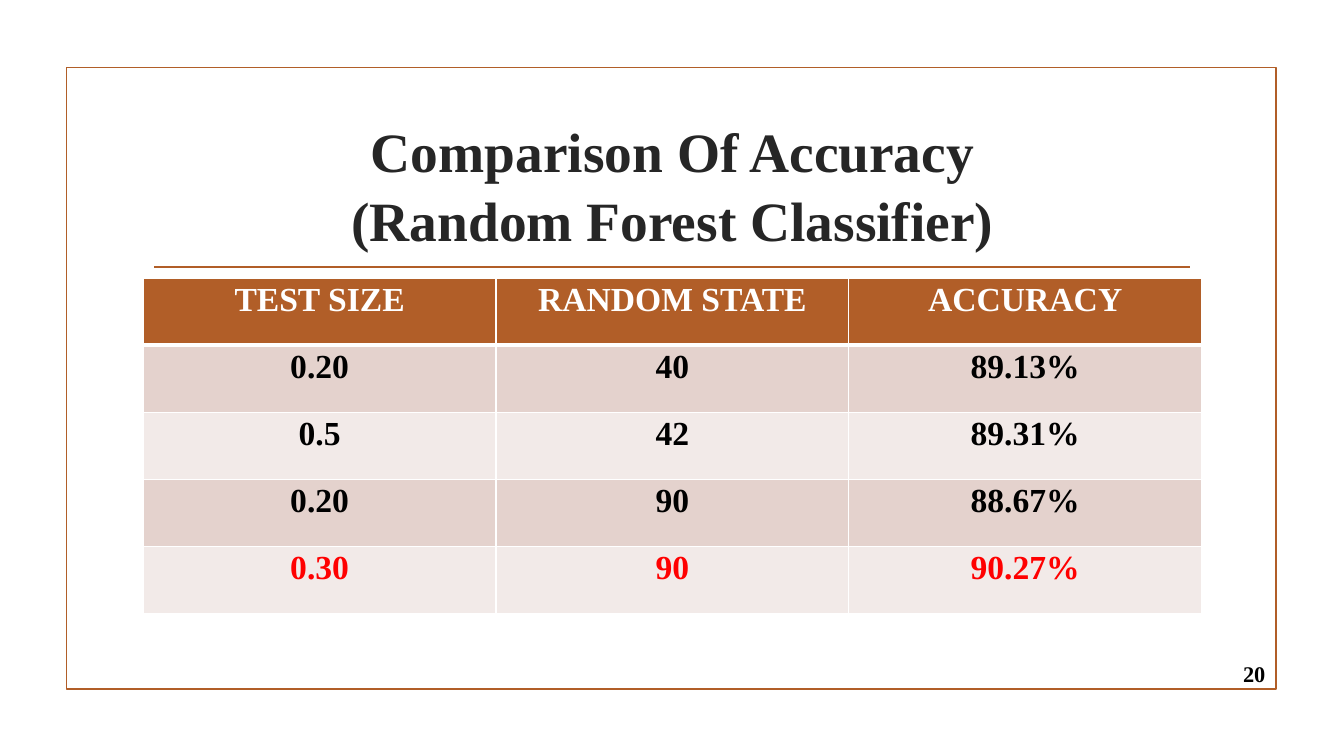
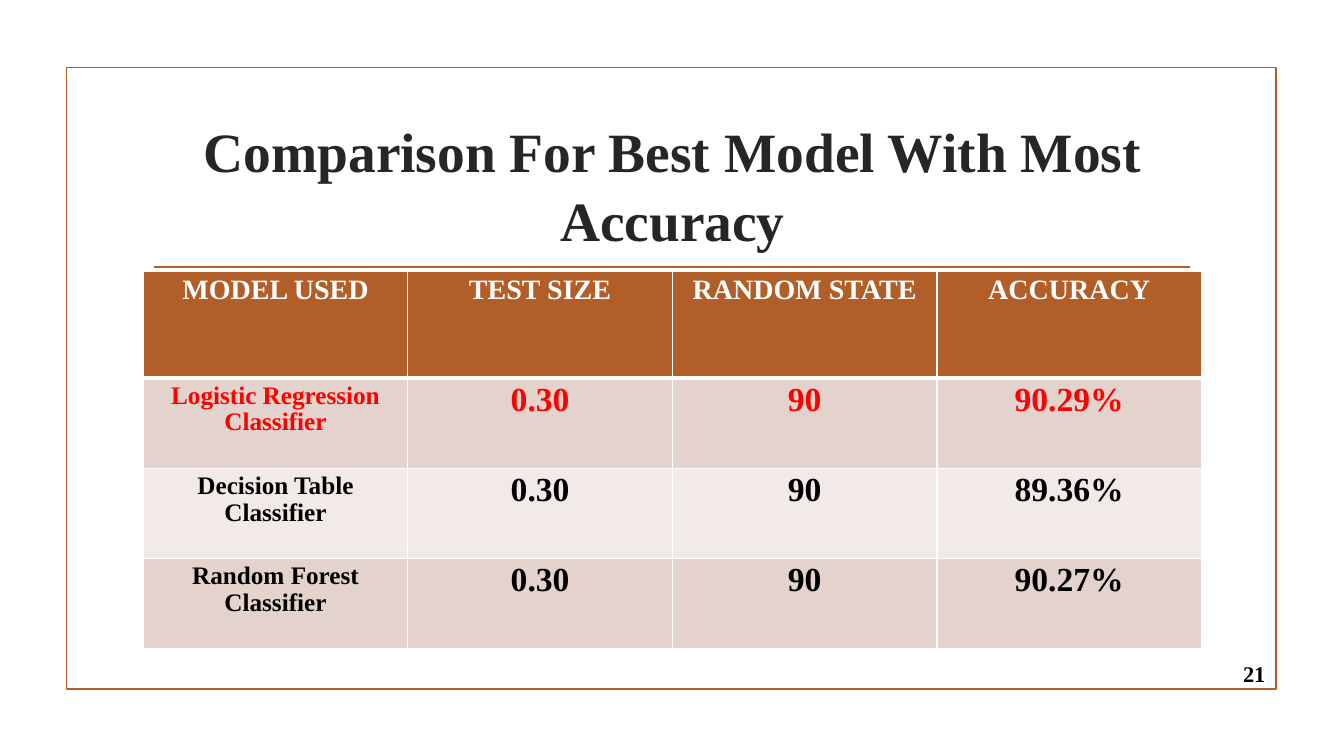
from lxml import etree
from pptx import Presentation
from pptx.dml.color import RGBColor
from pptx.enum.shapes import MSO_CONNECTOR, MSO_SHAPE
from pptx.enum.text import MSO_ANCHOR, MSO_AUTO_SIZE, PP_ALIGN
from pptx.oxml.ns import qn
from pptx.util import Cm, Pt

RECT = MSO_SHAPE.RECTANGLE
STRAIGHT = MSO_CONNECTOR.STRAIGHT
MIDDLE = MSO_ANCHOR.MIDDLE
NO_FIT = MSO_AUTO_SIZE.NONE
CENTER = PP_ALIGN.CENTER
RIGHT = PP_ALIGN.RIGHT

RUST = RGBColor(0xB1, 0x5E, 0x28)
BAND_DARK = RGBColor(0xE4, 0xD2, 0xCD)
BAND_LIGHT = RGBColor(0xF2, 0xEA, 0xE8)
CHARCOAL = RGBColor(0x26, 0x26, 0x26)
BLACK = RGBColor(0, 0, 0)
WHITE = RGBColor(255, 255, 255)
RED = RGBColor(255, 0, 0)

FONT = "Times New Roman"
LEFT, WIDTH = 3.61, 26.67


def put_text(tf, text, size=24, color=BLACK, align=CENTER, spacing=1.0):
    tf.word_wrap = True
    for i, line in enumerate(text.split("\n")):
        p = tf.add_paragraph() if i else tf.paragraphs[0]
        p.alignment = align
        p.line_spacing = spacing
        r = p.add_run()
        r.text = line
        r.font.name = FONT
        r.font.size = Pt(size)
        r.font.bold = True
        r.font.color.rgb = color


def set_borders(cell, top=1, bottom=1):
    tcPr = cell._tc.get_or_add_tcPr()
    widths = {"lnL": 1, "lnR": 1, "lnT": top, "lnB": bottom}
    for i, (tag, width) in enumerate(widths.items()):
        ln = etree.Element(qn(f"a:{tag}"), w=str(Pt(width)))
        fill = etree.SubElement(ln, qn("a:solidFill"))
        etree.SubElement(fill, qn("a:srgbClr"), val=str(WHITE))
        tcPr.insert(i, ln)


class Deck:
    def __init__(self):
        self.prs = Presentation()
        self.prs.slide_width = Cm(33.87)
        self.prs.slide_height = Cm(19.05)
        self.s = None

    def slide(self, title, number, shift=0):
        self.s = self.prs.slides.add_slide(self.prs.slide_layouts[5])
        self.frame()
        self.rule()
        self.title(title, shift)
        self.number(number)

    def frame(self):
        sp = self.s.shapes.add_shape(RECT, Cm(1.68), Cm(1.7), Cm(30.48), Cm(15.67))
        sp.shadow.inherit = False
        sp.fill.background()
        sp.line.color.rgb = RUST
        sp.line.width = Pt(1.25)

    def rule(self):
        cx = self.s.shapes.add_connector(STRAIGHT, Cm(3.89), Cm(6.73), Cm(30), Cm(6.73))
        cx.line.color.rgb = RUST
        cx.line.width = Pt(1.25)
        etree.SubElement(cx._element.spPr, qn("a:effectLst"))

    def title(self, text, shift):
        sp = self.s.shapes.title
        sp.left, sp.top, sp.width, sp.height = Cm(LEFT), Cm(2.72), Cm(WIDTH), Cm(3.63)
        tf = sp.text_frame
        tf.auto_size = NO_FIT
        tf.vertical_anchor = MIDDLE
        tf.margin_top, tf.margin_bottom = Cm(0.2), 0
        tf.margin_right = Cm(0.25 + shift)
        put_text(tf, text, size=39.6, color=CHARCOAL, spacing=1.03)
        tf.paragraphs[0]._p.get_or_add_pPr().set("marL", str(Cm(shift)))

    def number(self, number):
        sp = self.s.shapes.add_textbox(Cm(28.75), Cm(16.58), Cm(3.39), Cm(0.79))
        sp.text_frame.vertical_anchor = MIDDLE
        put_text(sp.text_frame, str(number), size=16, align=RIGHT)

    def table(self, rows, top, heights, best, head_size=24, label_size=24):
        n_cols = len(rows[0])
        tbl = self.s.shapes.add_table(len(rows), n_cols, Cm(LEFT), Cm(top),
                                      Cm(WIDTH), Cm(sum(heights))).table
        for col in tbl.columns:
            col.width = Cm(WIDTH / n_cols)
        for i, row in enumerate(rows):
            tbl.rows[i].height = Cm(heights[i])
            for j, text in enumerate(row):
                cell = tbl.cell(i, j)
                if i == 0:
                    size, color, fill = head_size, WHITE, RUST
                else:
                    size = 24 if j else label_size
                    color = RED if i == best else BLACK
                    fill = BAND_DARK if i % 2 else BAND_LIGHT
                cell.fill.solid()
                cell.fill.fore_color.rgb = fill
                set_borders(cell, top=3 if i == 1 else 1, bottom=1 if i else 3)
                put_text(cell.text_frame, text, size=size, color=color, spacing=0.95)


def main():
    deck = Deck()

    deck.slide("Comparison Of Accuracy\n(Random Forest Classifier)", 20, shift=0.7)
    deck.table([
        ("TEST SIZE", "RANDOM STATE", "ACCURACY"),
        ("0.20", "40", "89.13%"),
        ("0.5", "42", "89.31%"),
        ("0.20", "90", "88.67%"),
        ("0.30", "90", "90.27%"),
    ], top=7.01, heights=[1.69] * 5, best=4)

    deck.slide("Comparison For Best Model With Most Accuracy", 21)
    deck.table([
        ("MODEL USED", "TEST SIZE", "RANDOM STATE", "ACCURACY"),
        ("Logistic Regression Classifier", "0.30", "90", "90.29%"),
        ("Decision Table Classifier", "0.30", "90", "89.36%"),
        ("Random Forest Classifier", "0.30", "90", "90.27%"),
    ], top=6.83, heights=[2.7] + [2.27] * 3, best=1, head_size=20, label_size=18)

    deck.prs.save("out.pptx")


if __name__ == "__main__":
    main()
